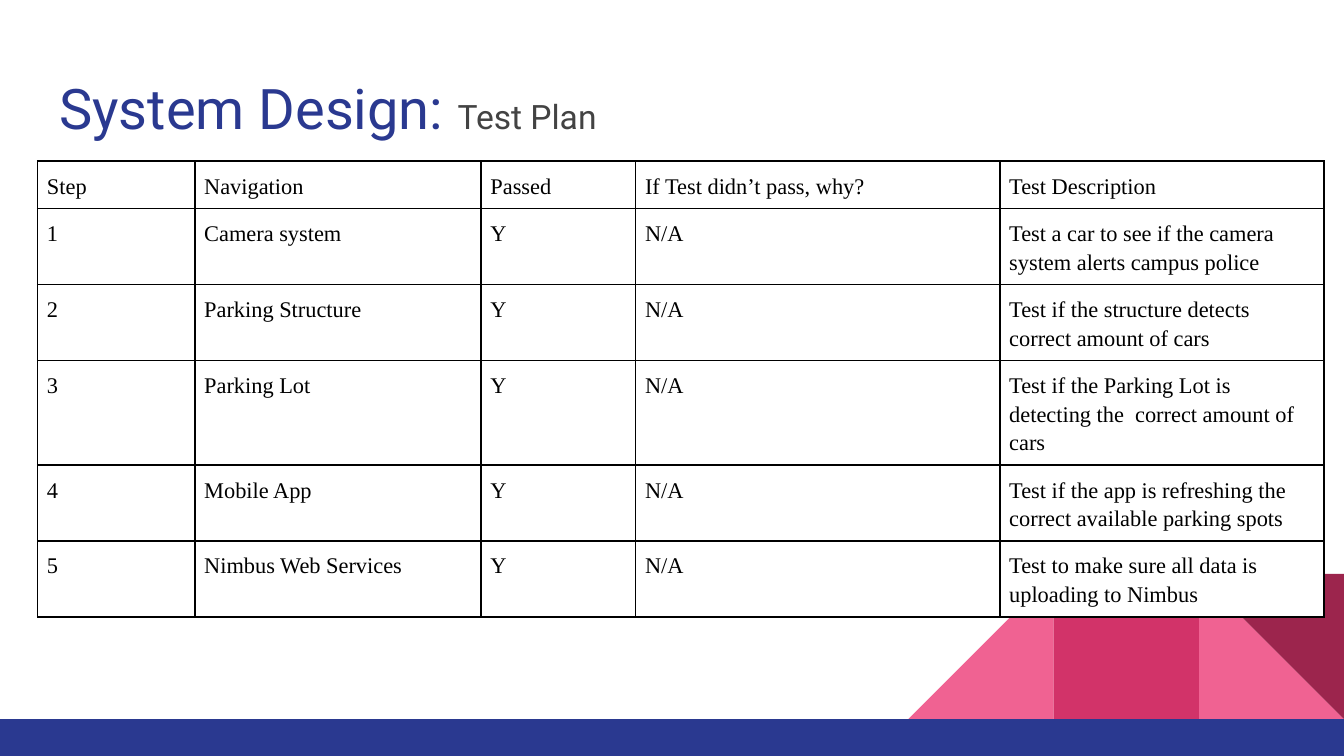
from lxml import etree
from pptx import Presentation
from pptx.dml.color import RGBColor
from pptx.enum import shapes, text
from pptx.oxml.ns import qn
from pptx.util import Inches, Pt

# Content
TITLE = [("System Design: ", 30, "2A3990"), ("Test Plan", 18, "434343")]
HEADER = ("Step", "Navigation", "Passed", "If Test didn’t pass, why?", "Test Description")
TESTS = [  # navigation, description, lines the description takes
    ("Camera system", "Test a car to see if the camera system alerts campus police", 2),
    ("Parking Structure", "Test if the structure detects correct amount of cars", 2),
    ("Parking Lot", "Test if the Parking Lot is detecting the  correct amount of cars", 3),
    ("Mobile App", "Test if the app is refreshing the correct available parking spots", 2),
    ("Nimbus Web Services", "Test to make sure all data is uploading to Nimbus", 2),
]
COLUMN_WIDTHS = (1.17, 2.13, 1.15, 2.71, 2.41)
HEADER_HEIGHT, EXTRA_LINE = 0.35, 0.21
TILE, TILE_TOP, TILE_LEFT = 1.08, 4.27, 6.76
TRIANGLE, RECTANGLE = shapes.MSO_SHAPE.RIGHT_TRIANGLE, shapes.MSO_SHAPE.RECTANGLE
TILES = [  # column, shape, colour, rotation, mirrored
    (2, TRIANGLE, "F06292", 0, False),
    (0, TRIANGLE, "F06292", 0, True),
    (1, RECTANGLE, "D23369", 0, False),
    (2, TRIANGLE, "9C254D", 180, False),
]


def color(value):
    return RGBColor.from_string(value)


def add_text(paragraph, words, size=12, font="Times New Roman", fill="000000"):
    run = paragraph.add_run()
    run.text = words
    run.font.size = Pt(size)
    run.font.name = font
    run.font.color.rgb = color(fill)


def set_insets(target, inset):
    target.margin_left = target.margin_right = Inches(inset)
    target.margin_top = target.margin_bottom = Inches(inset)


def add_block(kind, left, top, width, height, fill):
    block = slide.shapes.add_shape(
        kind, Inches(left), Inches(top), Inches(width), Inches(height))
    block.shadow.inherit = False
    block.fill.solid()
    block.fill.fore_color.rgb = color(fill)
    block.line.fill.background()
    return block


def add_borders(cell):
    properties = cell._tc.get_or_add_tcPr()
    for position, side in enumerate(("a:lnL", "a:lnR", "a:lnT", "a:lnB")):
        line = etree.Element(qn(side), w=str(Pt(1)))
        fill = etree.SubElement(line, qn("a:solidFill"))
        etree.SubElement(fill, qn("a:srgbClr"), val="000000")
        properties.insert(position, line)


# Widescreen slide, 16:9
prs = Presentation()
prs.slide_width = Inches(10)
prs.slide_height = prs.slide_width * 9 // 16
slide = prs.slides.add_slide(prs.slide_layouts[5])

# Corner decoration and bottom band
for column, kind, fill, rotation, mirrored in TILES:
    tile = add_block(kind, TILE_LEFT + column * TILE, TILE_TOP, TILE, TILE, fill)
    tile.rotation = rotation
    if mirrored:
        tile._element.spPr.find(qn("a:xfrm")).set("flipH", "1")
add_block(RECTANGLE, 0, TILE_TOP + TILE, 10, 0.28, "2A3990")

# Title
title = slide.shapes.title
title.left, title.top = Inches(0.34), Inches(0.45)
title.width, title.height = Inches(9.32), Inches(0.66)
title_frame = title.text_frame
title_frame.word_wrap = True
title_frame.auto_size = text.MSO_AUTO_SIZE.NONE
title_frame.vertical_anchor = text.MSO_ANCHOR.TOP
set_insets(title_frame, 0.1)
heading = title_frame.paragraphs[0]
heading.alignment = text.PP_ALIGN.LEFT
for words, size, fill in TITLE:
    add_text(heading, words, size=size, font="Roboto", fill=fill)

# Test plan table
rows = [HEADER] + [(str(step), navigation, "Y", "N/A", description)
                   for step, (navigation, description, _) in enumerate(TESTS, 1)]
heights = [HEADER_HEIGHT] + [HEADER_HEIGHT + (lines - 1) * EXTRA_LINE
                             for _, _, lines in TESTS]
plan = slide.shapes.add_table(
    len(rows), len(HEADER), Inches(0.28), Inches(1.2),
    Inches(sum(COLUMN_WIDTHS)), Inches(sum(heights))).table
plan.first_row = plan.horz_banding = False
for column, width in zip(plan.columns, COLUMN_WIDTHS):
    column.width = Inches(width)
for row, height, entries in zip(plan.rows, heights, rows):
    row.height = Inches(height)
    for cell, words in zip(row.cells, entries):
        cell.fill.solid()
        cell.fill.fore_color.rgb = color("FFFFFF")
        set_insets(cell, 0.07)
        add_borders(cell)
        paragraph = cell.text_frame.paragraphs[0]
        paragraph.line_spacing = 1.15
        add_text(paragraph, words)

prs.save("out.pptx")
